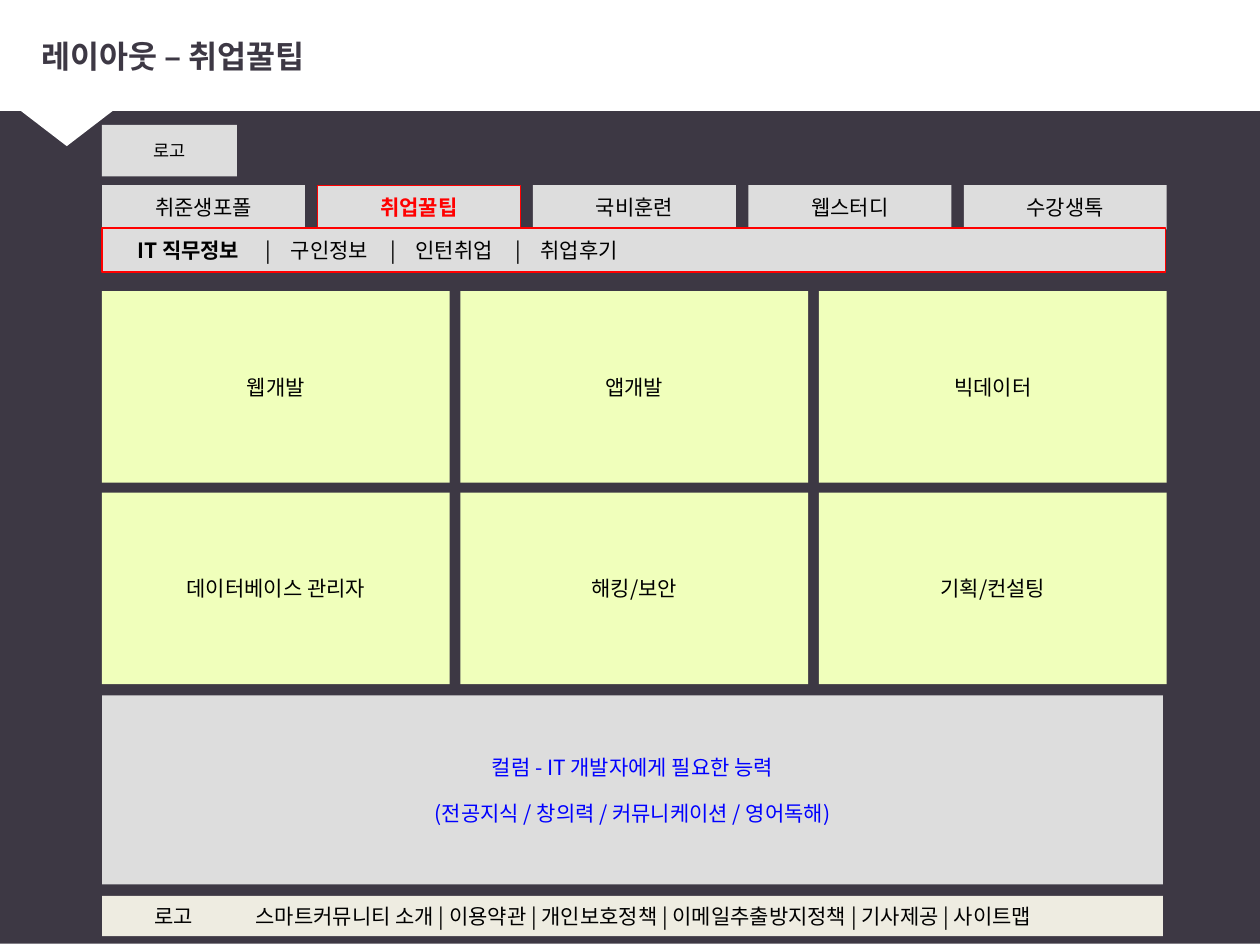
from lxml import etree
from pptx import Presentation
from pptx.dml.color import RGBColor
from pptx.enum.shapes import MSO_SHAPE
from pptx.enum.text import MSO_ANCHOR, PP_ALIGN
from pptx.oxml.ns import qn
from pptx.util import Inches, Pt

RECT, TRIANGLE = MSO_SHAPE.RECTANGLE, MSO_SHAPE.ISOSCELES_TRIANGLE
LEFT, CENTER = PP_ALIGN.LEFT, PP_ALIGN.CENTER
MIDDLE = MSO_ANCHOR.MIDDLE
FONT = "Noto Sans CJK KR"
DARK, WHITE, BLACK = "3D3844", "FFFFFF", "000000"
GRAY, LIME, CREAM, RED, BLUE = "DDDDDD", "F0FFBB", "EEECE1", "FF0000", "0000FF"

# Content
TITLE = "레이아웃 – 취업꿀팁"
LOGO = "로고"
MENU = ["취준생포폴", "취업꿀팁", "국비훈련", "웹스터디", "수강생톡"]
ACTIVE_MENU = "취업꿀팁"
SUBMENU = ["IT 직무정보", "구인정보", "인턴취업", "취업후기"]
JOBS = [["웹개발", "앱개발", "빅데이터"],
        ["데이터베이스 관리자", "해킹/보안", "기획/컨설팅"]]
COLUMN = ["컬럼 - IT 개발자에게 필요한 능력",
          "(전공지식 / 창의력 / 커뮤니케이션 / 영어독해)"]
FOOTER = ["스마트커뮤니티 소개", "이용약관", "개인보호정책",
          "이메일추출방지정책", "기사제공", "사이트맵"]

# Layout
X0 = 0.81
MENU_STEP, JOB_STEP_X, JOB_STEP_Y = 1.71, 2.845, 1.6
SUBMENU_STEP = 0.99


def rgb(value):
    return RGBColor.from_string(value)


def add_run(p, text, size=12, color=BLACK, bold=False):
    r = p.add_run()
    r.text = text
    r.font.size, r.font.bold, r.font.name = Pt(size), bold, FONT
    r.font.color.rgb = rgb(color)
    ea = etree.SubElement(r.font._element, qn("a:ea"))
    ea.set("typeface", FONT)


def write(sp, lines, align=CENTER, wrap=False, gap=0, **style):
    tf = sp.text_frame
    tf.word_wrap, tf.vertical_anchor = wrap, MIDDLE
    for i, line in enumerate(lines):
        p = tf.add_paragraph() if i else tf.paragraphs[0]
        p.alignment = align
        p.space_before = Pt(gap if i else 0)
        add_run(p, line, **style)


def add_box(x, y, w, h, fill, line=None, shape=RECT):
    sp = s.shapes.add_shape(shape, Inches(x), Inches(y), Inches(w), Inches(h))
    sp.shadow.inherit = False
    sp.fill.solid()
    sp.fill.fore_color.rgb = rgb(fill)
    if line:
        sp.line.color.rgb = rgb(line)
        sp.line.width = Pt(0.75)
    else:
        sp.line.fill.background()
    return sp


def add_label(x, y, w, h, text, align=CENTER, wrap=False):
    sp = s.shapes.add_textbox(Inches(x), Inches(y), Inches(w), Inches(h))
    write(sp, [text], align, wrap)


prs = Presentation()
prs.slide_width, prs.slide_height = Inches(10), Inches(7.5)
s = prs.slides.add_slide(prs.slide_layouts[5])

# Backdrop with the pointed header
add_box(0, 0, 10, 7.49, DARK)
add_box(0, 0, 10, 0.88, WHITE)
add_box(-0.2, 0.6, 1.46, 0.56, WHITE, shape=TRIANGLE).rotation = 180

# Title, brought in front of the backdrop
title = s.shapes.title
title.left, title.top = Inches(0.23), Inches(0.13)
title.width, title.height = Inches(9.66), Inches(0.62)
write(title, [TITLE], LEFT, True, size=18, color=DARK, bold=True)
title.element.getparent().append(title.element)

# Logo and main menu
write(add_box(X0, 0.99, 1.07, 0.41, GRAY), [LOGO], size=10)
for i, name in enumerate(MENU):
    active = name == ACTIVE_MENU
    sp = add_box(X0 + i * MENU_STEP, 1.47, 1.61, 0.35, GRAY, RED if active else None)
    write(sp, [name], color=RED if active else BLACK, bold=active)

# Footer
add_box(X0, 7.11, 8.42, 0.32, CREAM)
add_label(0.99, 7.09, 0.78, 0.36, LOGO)
add_label(1.93, 7.12, 7.12, 0.3, " | ".join(FOOTER), LEFT, True)

# Submenu, spaced by tab stops
bar = add_box(X0, 1.81, 8.44, 0.35, GRAY, RED)
tf = bar.text_frame
tf.word_wrap, tf.vertical_anchor, tf.margin_left = True, MIDDLE, Inches(0.28)
p = tf.paragraphs[0]
p.alignment = LEFT
tabs = etree.SubElement(p._p.get_or_add_pPr(), qn("a:tabLst"))
for i, name in enumerate(SUBMENU):
    if i:
        for stop in (0.03, 0.23):
            tab = etree.SubElement(tabs, qn("a:tab"))
            tab.set("pos", str(Inches(i * SUBMENU_STEP + stop)))
            tab.set("algn", "l")
        add_run(p, "\t|\t")
    add_run(p, name, bold=i == 0)

# Job cards
for row, names in enumerate(JOBS):
    for col, name in enumerate(names):
        card = add_box(X0 + col * JOB_STEP_X, 2.31 + row * JOB_STEP_Y, 2.76, 1.52, LIME)
        write(card, [name])

# Column panel
write(add_box(X0, 5.52, 8.42, 1.5, GRAY), COLUMN, gap=12, color=BLUE)

prs.save("out.pptx")
